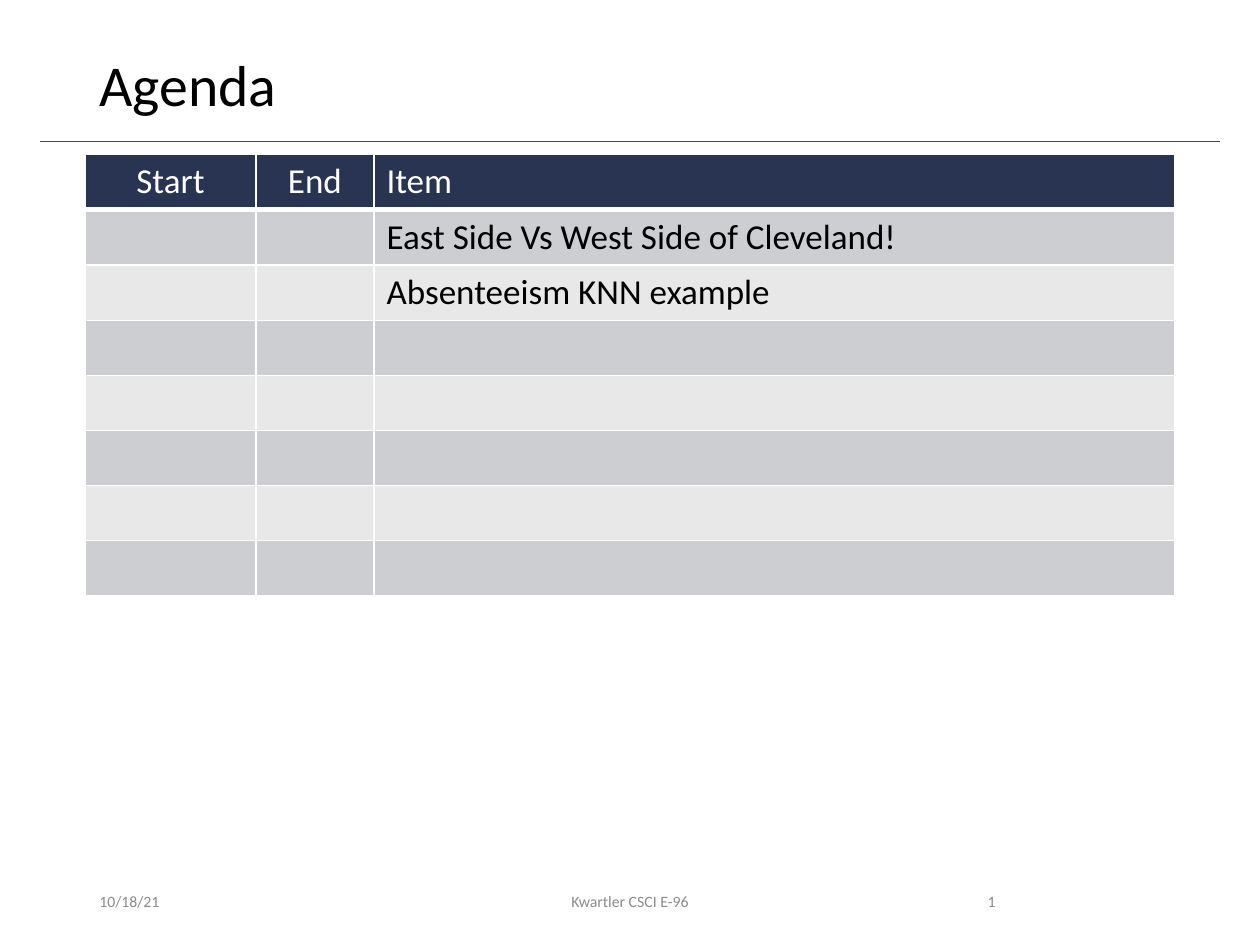
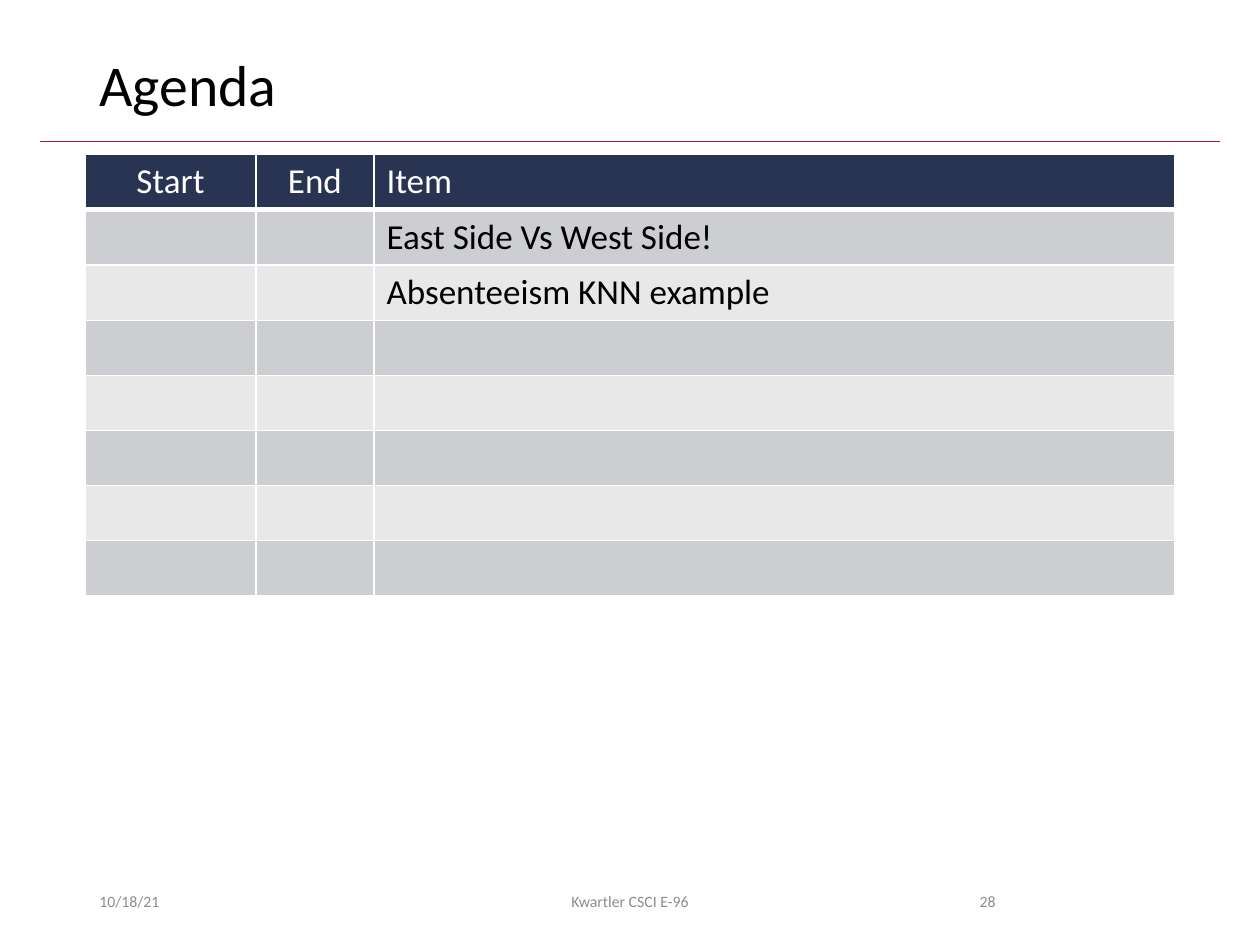
from dataclasses import dataclass

from lxml.etree import SubElement
from pptx import Presentation
from pptx.dml.color import RGBColor
from pptx.enum.shapes import MSO_CONNECTOR
from pptx.enum.text import MSO_ANCHOR, MSO_AUTO_SIZE, PP_ALIGN
from pptx.oxml.ns import qn
from pptx.slide import Slide
from pptx.table import _Cell
from pptx.text.text import TextFrame
from pptx.util import Emu, Inches, Pt

PX_PER_INCH = 126
FONT = "Calibri"
BLACK = RGBColor(0x00, 0x00, 0x00)
WHITE = RGBColor(0xFF, 0xFF, 0xFF)
CRIMSON = RGBColor(0xA5, 0x1C, 0x30)
NAVY = RGBColor(0x29, 0x33, 0x52)
DARK_BAND = RGBColor(0xCD, 0xCE, 0xD1)
LIGHT_BAND = RGBColor(0xE8, 0xE8, 0xE9)
FOOTER_GREY = RGBColor(0x8C, 0x8C, 0x8C)

TITLE_ONLY = 5
RULE_LEFT, RULE_RIGHT, RULE_Y = 40, 1220, 141
TABLE_LEFT, TABLE_TOP = 85, 154
ROW_COUNT, ROW_HEIGHT = 8, 55
FOOTER_TOP, FOOTER_HEIGHT = 876, 50


@dataclass(frozen=True)
class Column:
    heading: str
    width: int
    align: PP_ALIGN


@dataclass(frozen=True)
class FooterPart:
    left: int
    width: int
    align: PP_ALIGN


@dataclass(frozen=True)
class Agenda:
    number: str
    items: tuple[str, ...]


COLUMNS = (
    Column("Start", 171, PP_ALIGN.CENTER),
    Column("End", 118, PP_ALIGN.CENTER),
    Column("Item", 801, PP_ALIGN.LEFT),
)
DATE = FooterPart(87, 284, PP_ALIGN.LEFT)
COURSE = FooterPart(417, 426, PP_ALIGN.CENTER)
NUMBER = FooterPart(890, 118, PP_ALIGN.RIGHT)

AGENDAS = (
    Agenda("1", ("East Side Vs West Side of Cleveland!", "Absenteeism KNN example")),
    Agenda("28", ("East Side Vs West Side!", "Absenteeism KNN example")),
)


def px(length: int) -> Emu:
    return Emu(round(length * Inches(1) / PX_PER_INCH))


def write(frame: TextFrame, text: str, *, size: int, color: RGBColor,
          align: PP_ALIGN = PP_ALIGN.LEFT, anchor: MSO_ANCHOR = MSO_ANCHOR.TOP,
          line_spacing: float | None = None) -> None:
    frame.word_wrap = True
    frame.vertical_anchor = anchor
    paragraph = frame.paragraphs[0]
    paragraph.alignment = align
    paragraph.line_spacing = line_spacing
    run = paragraph.add_run()
    run.text = text
    run.font.name = FONT
    run.font.size = Pt(size)
    run.font.color.rgb = color


def add_title(slide: Slide, text: str) -> None:
    title = slide.shapes.title
    title.left, title.top, title.width, title.height = map(px, (87, 50, 1086, 82))
    title.text_frame.auto_size = MSO_AUTO_SIZE.NONE
    write(title.text_frame, text, size=33, color=BLACK, line_spacing=0.9)


def add_title_rule(slide: Slide) -> None:
    rule = slide.shapes.add_connector(
        MSO_CONNECTOR.STRAIGHT, px(RULE_LEFT), px(RULE_Y), px(RULE_RIGHT), px(RULE_Y))
    rule.line.color.rgb = CRIMSON
    rule.line.width = Pt(0.5)
    SubElement(rule._element.spPr, qn("a:effectLst"))


def add_borders(cell: _Cell, bottom: int) -> None:
    """Draw white borders of 1 pt, with the bottom one as wide as given."""
    properties = cell._tc.get_or_add_tcPr()
    for side, width in (("L", 1), ("R", 1), ("T", 1), ("B", bottom)):
        border = SubElement(properties, qn(f"a:ln{side}"), w=str(Pt(width)))
        fill = SubElement(border, qn("a:solidFill"))
        SubElement(fill, qn("a:srgbClr"), val=str(WHITE))


def add_agenda_table(slide: Slide, items: tuple[str, ...]) -> None:
    table = slide.shapes.add_table(
        ROW_COUNT, len(COLUMNS), px(TABLE_LEFT), px(TABLE_TOP),
        px(sum(column.width for column in COLUMNS)), px(ROW_COUNT * ROW_HEIGHT)).table
    for table_column, column in zip(table.columns, COLUMNS):
        table_column.width = px(column.width)

    for index, row in enumerate(table.rows):
        row.height = px(ROW_HEIGHT)
        is_header = index == 0
        band = NAVY if is_header else DARK_BAND if index % 2 else LIGHT_BAND
        for cell in row.cells:
            add_borders(cell, bottom=3 if is_header else 1)
            cell.fill.solid()
            cell.fill.fore_color.rgb = band

    for index, column in enumerate(COLUMNS):
        write(table.cell(0, index).text_frame, column.heading,
              size=20, color=WHITE, align=column.align)
    item_column = len(COLUMNS) - 1
    for index, item in enumerate(items, start=1):
        write(table.cell(index, item_column).text_frame, item, size=20, color=BLACK)


def add_footer(slide: Slide, number: str) -> None:
    for part, text in ((DATE, "10/18/21"), (COURSE, "Kwartler CSCI E-96"), (NUMBER, number)):
        box = slide.shapes.add_textbox(
            px(part.left), px(FOOTER_TOP), px(part.width), px(FOOTER_HEIGHT))
        write(box.text_frame, text, size=9, color=FOOTER_GREY,
              align=part.align, anchor=MSO_ANCHOR.MIDDLE)


def main() -> None:
    presentation = Presentation()
    presentation.slide_width, presentation.slide_height = Inches(10), Inches(7.5)
    for agenda in AGENDAS:
        slide = presentation.slides.add_slide(presentation.slide_layouts[TITLE_ONLY])
        add_title_rule(slide)
        add_title(slide, "Agenda")
        add_agenda_table(slide, agenda.items)
        add_footer(slide, agenda.number)
    presentation.save("out.pptx")


if __name__ == "__main__":
    main()
